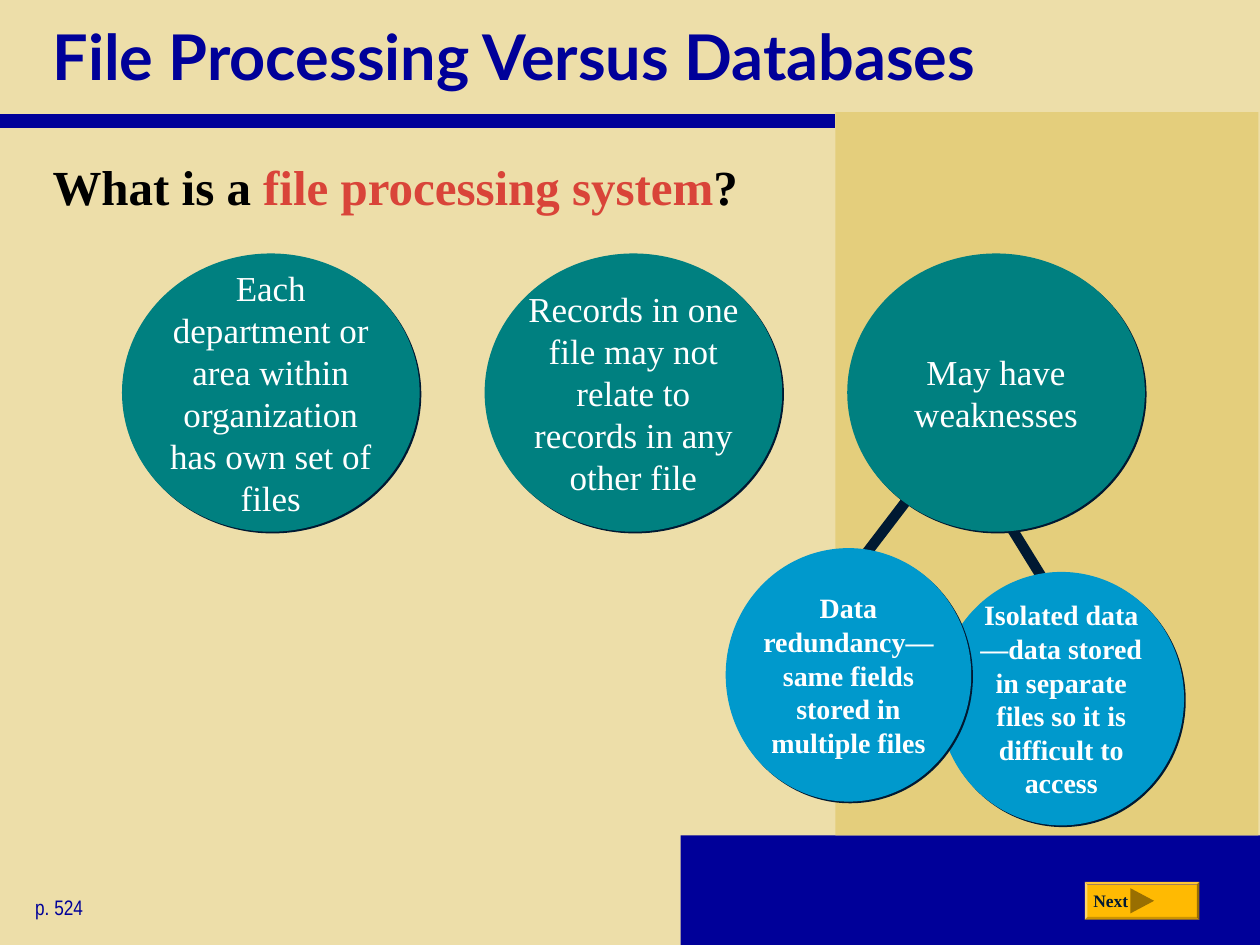
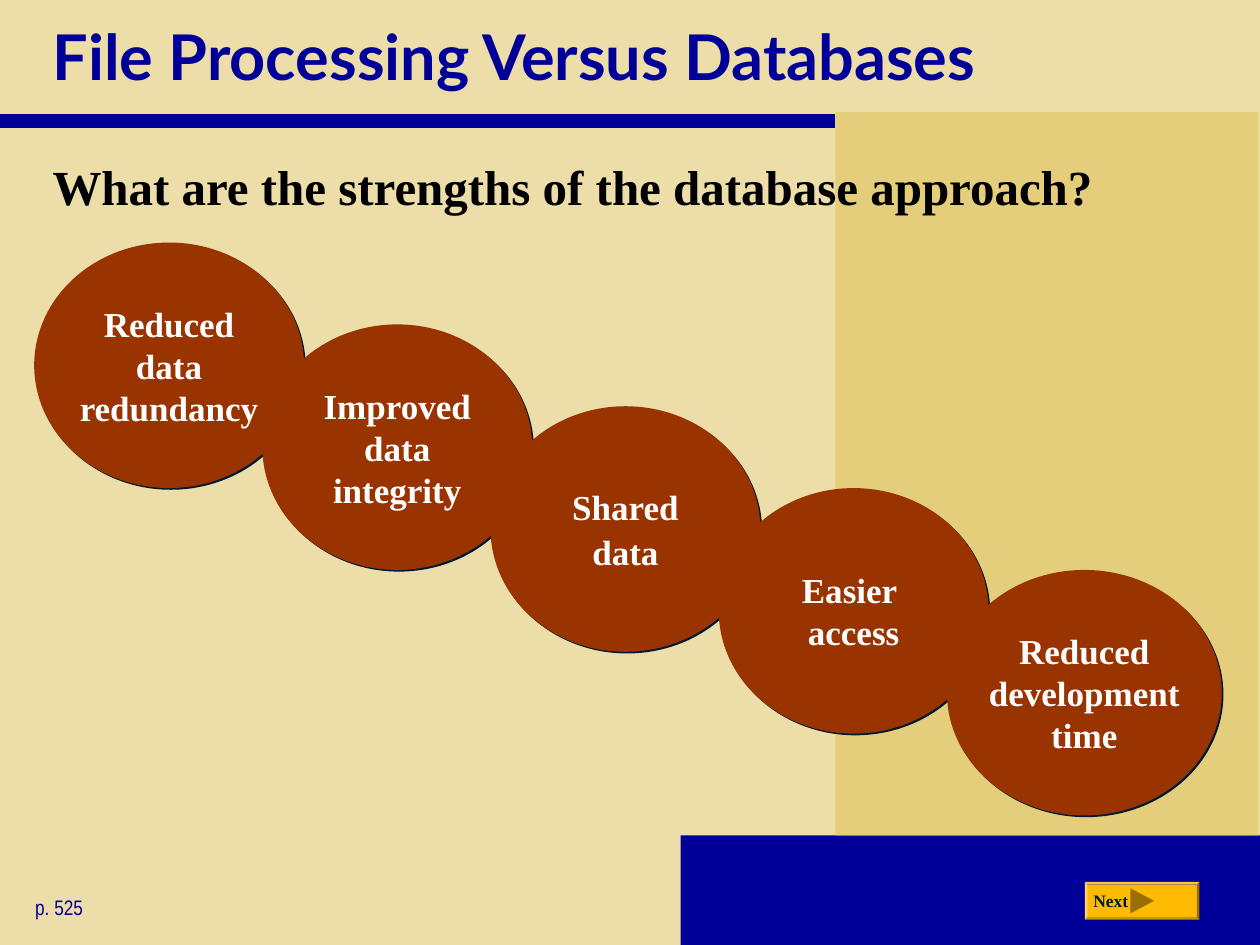
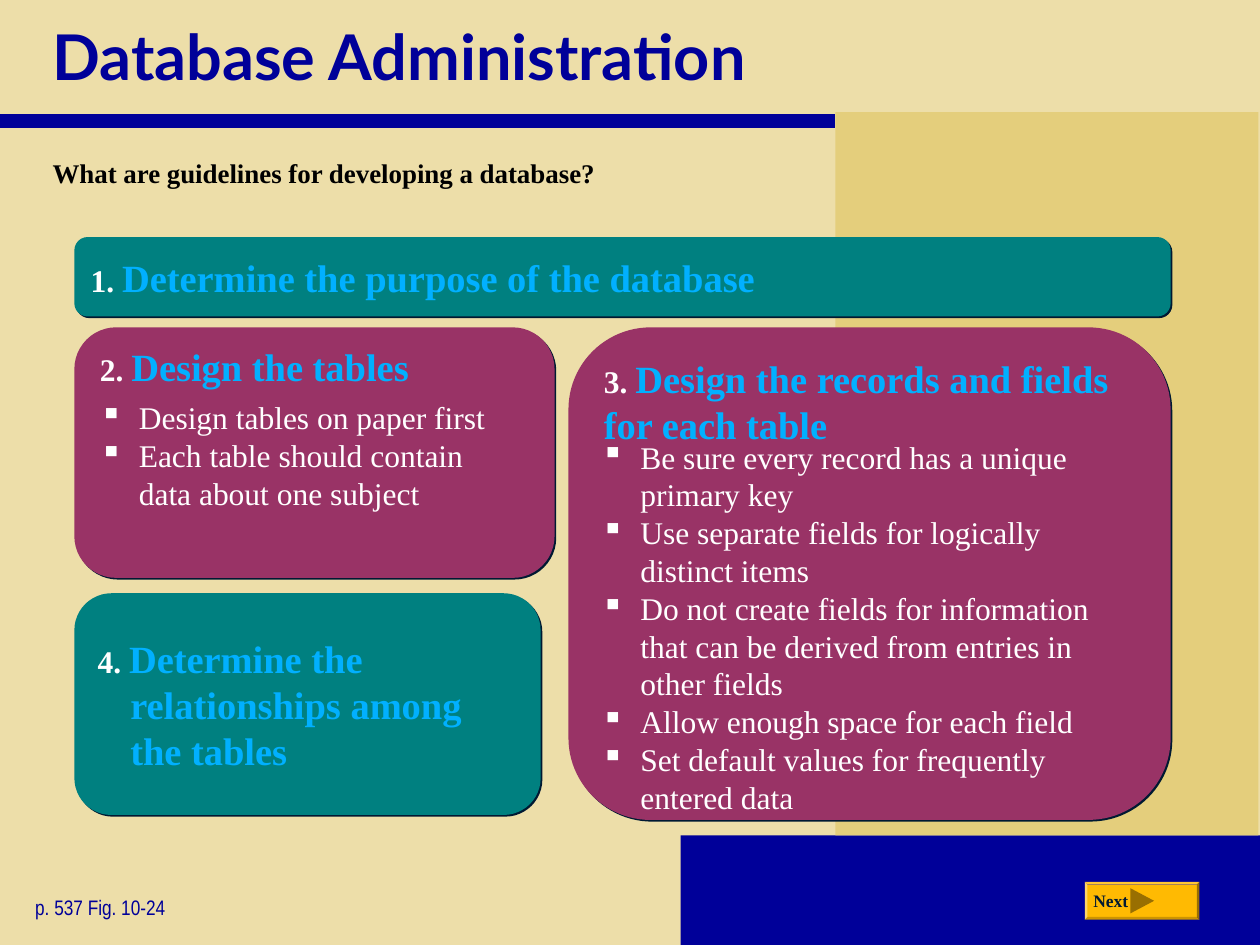
from lxml import etree
from pptx import Presentation
from pptx import util as u
from pptx.dml.color import RGBColor
from pptx.enum import shapes, text
from pptx.oxml import ns

NAVY, INK, WHITE, BLACK = "000099", "001932", "FFFFFF", "000000"
SAND, GOLD, AMBER, BROWN = "EDDEA9", "E4CE7C", "FFBA02", "996F01"
TEAL, SKY, RUST, PLUM = "008080", "0099CC", "993300", "993366"
RED, AZURE = "D94439", "01B0FF"
SERIF = "Times New Roman"
OVAL = shapes.MSO_SHAPE.OVAL
RECT = shapes.MSO_SHAPE.RECTANGLE
ROUNDED = shapes.MSO_SHAPE.ROUNDED_RECTANGLE
TOP, MIDDLE = text.MSO_ANCHOR.TOP, text.MSO_ANCHOR.MIDDLE
LEFT, CENTER = text.PP_ALIGN.LEFT, text.PP_ALIGN.CENTER

STYLES = {
    "title": dict(font="Lato", size=36, bold=True, colour=NAVY, anchor=MIDDLE),
    "question": dict(size=28, bold=True, colour=BLACK),
    "small question": dict(size=15.4, bold=True, colour=BLACK),
    "page": dict(font="Arial Narrow", size=12, colour=NAVY),
    "next": dict(size=10, bold=True, colour=INK),
    "fact": dict(size=20, align=CENTER, anchor=MIDDLE, margins=(0, 0)),
    "weakness": dict(size=16, bold=True, align=CENTER, anchor=MIDDLE, margins=(0, 0)),
    "strength": dict(size=20, bold=True, align=CENTER, anchor=MIDDLE, margins=(0, 0), gap=1.2),
    "step": dict(size=22, bold=True, colour=AZURE),
    "middle step": dict(size=22, bold=True, colour=AZURE, anchor=MIDDLE),
    "hanging step": dict(size=22, bold=True, colour=AZURE, anchor=MIDDLE, indent=(0.66, -0.66)),
    "points": dict(size=18, margins=(0, 0), indent=(1.12, -0.79), bullet="▪"),
}


def rgb(value):
    return RGBColor.from_string(value)


def put(slide, kind, box, style=None, paragraphs=(), fill=None, shadow=False):
    place = [u.Cm(length) for length in box]
    if kind is None:
        part = slide.shapes.add_textbox(*place)
    else:
        part = slide.shapes.add_shape(kind, *place)
        part.shadow.inherit = False
        part.line.fill.background()
        part.fill.background()
        if fill:
            part.fill.solid()
            part.fill.fore_color.rgb = rgb(fill)
        if shadow:
            effects = part._element.spPr.find(ns.qn("a:effectLst"))
            cast = etree.SubElement(effects, ns.qn("a:outerShdw"), dist="17780", dir="2700000",
                                    algn="ctr", rotWithShape="0")
            etree.SubElement(cast, ns.qn("a:srgbClr"), val=INK)
    if not style:
        return part
    look = dict(font=SERIF, bold=False, colour=WHITE, align=LEFT, anchor=TOP,
                margins=(0.25, 0.13), gap=0, indent=None, bullet=None)
    look.update(STYLES[style])
    side, edge = (u.Cm(margin) for margin in look["margins"])
    frame = part.text_frame
    layout = dict(word_wrap=True, vertical_anchor=look["anchor"], margin_left=side,
                  margin_right=side, margin_top=edge, margin_bottom=edge)
    for key, value in layout.items():
        setattr(frame, key, value)
    for number, runs in enumerate(paragraphs):
        paragraph = frame.add_paragraph() if number else frame.paragraphs[0]
        paragraph.alignment = look["align"]
        if number:
            paragraph.space_before = u.Pt(look["gap"])
        properties = paragraph._p.get_or_add_pPr()
        if look["indent"]:
            for key, length in zip(("marL", "indent"), look["indent"]):
                properties.set(key, str(u.Cm(length)))
        if look["bullet"]:
            tint = etree.SubElement(properties, ns.qn("a:buClr"))
            etree.SubElement(tint, ns.qn("a:srgbClr"), val=look["colour"])
            etree.SubElement(properties, ns.qn("a:buChar"), char=look["bullet"])
        for words, changes in [(runs, {})] if isinstance(runs, str) else runs:
            current = {**look, **changes}
            letters = dict(name=current["font"], size=u.Pt(current["size"]), bold=current["bold"])
            for row, line in enumerate(words.split("\n")):
                if row:
                    paragraph.add_line_break()
                run = paragraph.add_run()
                run.text = line
                for key, value in letters.items():
                    setattr(run.font, key, value)
                run.font.color.rgb = rgb(current["colour"])
    return part


deck = Presentation()
deck.slide_width, deck.slide_height = u.Cm(25.4), u.Cm(19.05)

versus = "File Processing Versus Databases"
pages = [
    (versus, "question",
     [("What is a ", {}), ("file processing system", {"colour": RED}), ("?", {})],
     "p. 524", [(20.17, 10.29, 21.06, 11.73), (18.36, 9.98, 16.81, 12.01)]),
    (versus, "question", "What are the strengths of the database approach?", "p. 525", []),
    ("Database Administration", "small question",
     "What are guidelines for developing a database?", "p. 537 Fig. 10-24", []),
]
for title, question_style, question, page, links in pages:
    slide = deck.slides.add_slide(deck.slide_layouts[6])
    slide.background.fill.solid()
    slide.background.fill.fore_color.rgb = rgb(SAND)
    put(slide, RECT, (13.72, 16.84, 11.68, 2.21), fill=NAVY)
    put(slide, RECT, (16.84, 2.26, 8.53, 14.58), fill=GOLD)
    title_rule = (0, 2.44, 16.84, 2.44)
    for ends, colour, width in [(title_rule, NAVY, 8)] + [(link, INK, 6) for link in links]:
        stroke = slide.shapes.add_connector(shapes.MSO_CONNECTOR.STRAIGHT,
                                            *[u.Cm(end) for end in ends])
        stroke.line.color.rgb = rgb(colour)
        stroke.line.width = u.Pt(width)
        etree.SubElement(stroke._element.spPr, ns.qn("a:effectLst"))
    put(slide, None, (0.81, 0, 23.85, 2.24), "title", [title])
    put(slide, None, (0.81, 3.02, 23.85, 1.65), question_style, [question])
    put(slide, None, (0.46, 17.91, 4.29, 0.76), "page", [page])
    button = put(slide, shapes.MSO_SHAPE.BEVEL, (21.87, 17.78, 2.31, 0.76), fill=AMBER)
    button.adjustments[0] = 0.07
    arrow = put(slide, shapes.MSO_SHAPE.ISOSCELES_TRIANGLE, (22.77, 17.92, 0.51, 0.48), fill=BROWN)
    arrow.rotation = 90
    put(slide, None, (21.79, 17.81, 1.3, 0.69), "next", ["Next"])

files, strengths, guidelines = deck.slides

weaknesses = [
    (18.92, 11.53, "Isolated data—data stored in separate files so it is difficult to access"),
    (14.63, 11.05, "Data redundancy—same fields stored in multiple files"),
]
for left, top, weakness in weaknesses:
    put(files, OVAL, (left, top, 4.95, 5.11), "weakness", [weakness], SKY, True)

facts = [
    "Each department or area within organization has own set of files",
    "Records in one file may not relate to records in any other file",
    "May have weaknesses",
]
for column, fact in enumerate(facts):
    put(files, OVAL, (2.46 + 7.31 * column, 5.11, 6, 5.61), "fact", [fact], TEAL, True)

gains = [
    (["Reduced data redundancy"], 5.44),
    (["Improved data integrity"], 5.44),
    (["Shared", "data"], 5.44),
    (["Easier \naccess"], 5.44),
    (["Reduced development time"], 5.54),
]
for stair, (gain, width) in enumerate(gains):
    put(strengths, OVAL, (0.69 + 4.6 * stair, 4.89 + 1.65 * stair, width, 4.95),
        "strength", gain, RUST, True)

table_points = [
    "Design tables on paper first",
    "Each table should contain \ndata about one subject",
]
field_points = [
    "Be sure every record has a unique \nprimary key",
    "Use separate fields for logically \ndistinct items",
    "Do not create fields for information \nthat can be derived from entries in \nother fields",
    "Allow enough space for each field",
    "Set default values for frequently \nentered data",
]
for panel in [(11.46, 6.6, 12.14, 9.93), (1.5, 6.6, 9.68, 5.05)]:
    put(guidelines, ROUNDED, panel, fill=PLUM, shadow=True)

steps = [
    ((1.5, 4.78, 22.1, 1.6), "middle step", "Determine the purpose of the database", TEAL),
    ((1.7, 6.73, 8.89, 1.32), "step", "Design the tables", None),
    ((11.81, 6.91, 11.84, 2.36), "step", "Design the records and fields for each table", None),
    ((1.5, 11.96, 9.4, 4.47), "hanging step",
     "Determine the relationships among \nthe tables", TEAL),
]
for number, (box, style, step, fill) in enumerate(steps, 1):
    label = [(f"{number}. ", {"size": 18, "colour": WHITE}), (step, {})]
    put(guidelines, ROUNDED, box, style, [label], fill, bool(fill))

put(guidelines, ROUNDED, (1.55, 7.9, 9.58, 2.67), "points", table_points)
put(guidelines, ROUNDED, (11.38, 8.41, 12.37, 8.43), "points", field_points)

deck.save("out.pptx")
